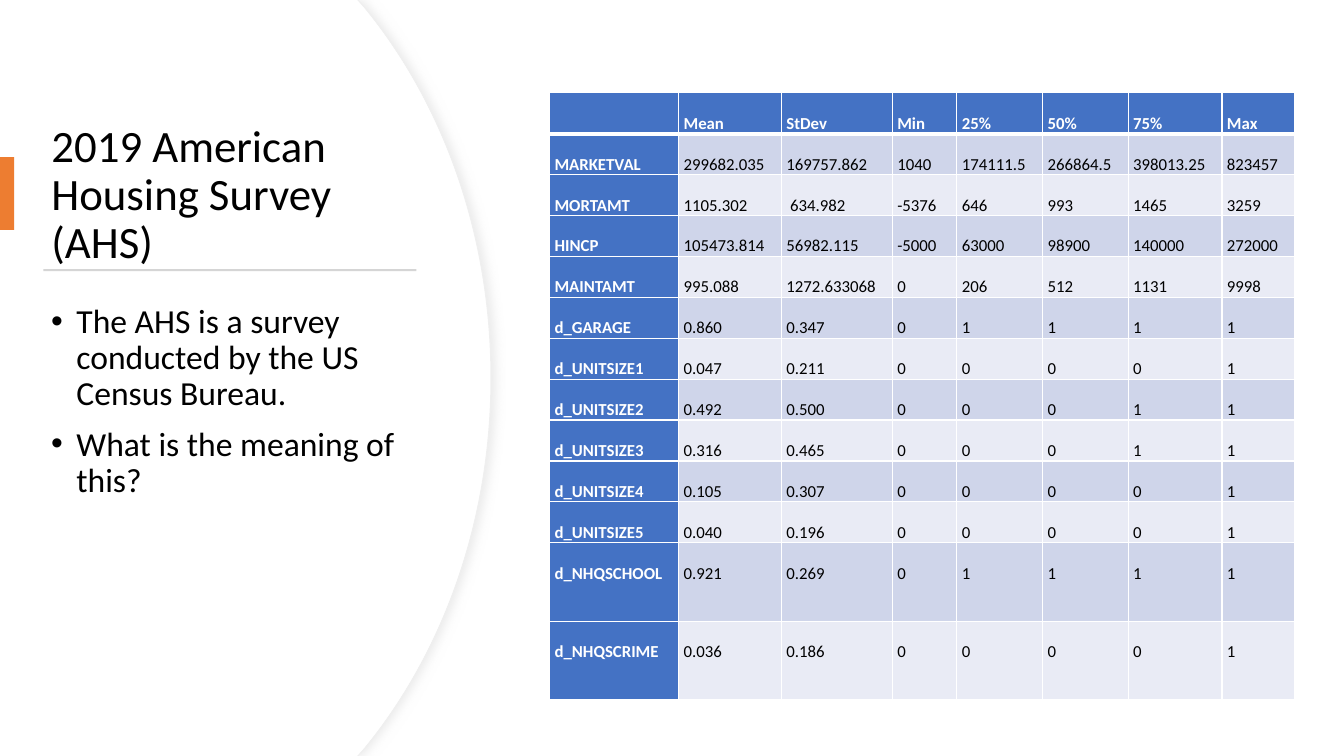
from dataclasses import dataclass

from lxml import etree
from pptx import Presentation
from pptx import util as u
from pptx.dml.color import RGBColor
from pptx.enum import shapes, text
from pptx.oxml.ns import qn

FONT = "Calibri"
COLORS = {
    "white": "FFFFFF", "black": "000000", "outline": "EFEFEF", "shadow": "D9D9D9",
    "accent": "ED7D31", "rule": "D5D5D5", "header": "4472C4",
    "band_dark": "CFD5EA", "band_light": "E9EBF5",
}


@dataclass
class Bar:
    left: float
    top: float
    width: float
    height: float
    color: str


@dataclass
class Panel:
    tip: float
    outlined: bool


PANELS = [Panel(4.87, True), Panel(4.86, False)]
BARS = [Bar(0, 1.56, 0.14, 0.72, "accent"), Bar(0.43, 2.67, 3.7, 0.02, "rule")]
BULLETS = ["The AHS is a survey conducted by the US Census Bureau.", "What is the meaning of this?"]
COLUMN_WIDTHS = [1.28, 1.02, 1.1, 0.64, 0.85, 0.85, 0.93, 0.72]
ROW_HEIGHTS = [0.38] * 11 + [0.78] * 2
STATISTICS = [
    ["", "Mean", "StDev", "Min", "25%", "50%", "75%", "Max"],
    ["MARKETVAL", "299682.035", "169757.862", "1040", "174111.5", "266864.5", "398013.25", "823457"],
    ["MORTAMT", "1105.302", " 634.982", "-5376", "646", "993", "1465", "3259"],
    ["HINCP", "105473.814", "56982.115", "-5000", "63000", "98900", "140000", "272000"],
    ["MAINTAMT", "995.088", "1272.633068", "0", "206", "512", "1131", "9998"],
    ["d_GARAGE", "0.860", "0.347", "0", "1", "1", "1", "1"],
    ["d_UNITSIZE1", "0.047", "0.211", "0", "0", "0", "0", "1"],
    ["d_UNITSIZE2", "0.492", "0.500", "0", "0", "0", "1", "1"],
    ["d_UNITSIZE3", "0.316", "0.465", "0", "0", "0", "1", "1"],
    ["d_UNITSIZE4", "0.105", "0.307", "0", "0", "0", "0", "1"],
    ["d_UNITSIZE5", "0.040", "0.196", "0", "0", "0", "0", "1"],
    ["d_NHQSCHOOL", "0.921", "0.269", "0", "1", "1", "1", "1"],
    ["d_NHQSCRIME", "0.036", "0.186", "0", "0", "0", "0", "1"],
]


def rgb(name: str) -> RGBColor:
    return RGBColor.from_string(COLORS[name])


def write(paragraph, content: str, *, size: float, color: str = "black", bold: bool = False,
          spacing: float = 0.9, before: float = 0) -> None:
    paragraph.alignment = text.PP_ALIGN.LEFT
    paragraph.line_spacing = spacing
    paragraph.space_before = u.Pt(before)
    run = paragraph.add_run()
    run.text = content
    run.font.name = FONT
    run.font.size = u.Pt(size)
    run.font.bold = bold
    run.font.color.rgb = rgb(color)


def place(shape, left: float, top: float, width: float, height: float) -> None:
    shape.left, shape.top = u.Inches(left), u.Inches(top)
    shape.width, shape.height = u.Inches(width), u.Inches(height)


def add_bullet(paragraph) -> None:
    properties = paragraph._p.get_or_add_pPr()
    properties.set("marL", str(u.Inches(0.25)))
    properties.set("indent", str(-u.Inches(0.25)))
    etree.SubElement(properties, qn("a:buFont"), typeface="Arial")
    etree.SubElement(properties, qn("a:buChar"), char="•")


def add_color(parent, name: str):
    return etree.SubElement(parent, qn("a:srgbClr"), val=COLORS[name])


def bend(segment, controls: list[tuple[float, float]]) -> None:
    segment.tag = qn("a:cubicBezTo")
    for index, (x, y) in enumerate(controls):
        point = etree.Element(qn("a:pt"), x=str(u.Inches(x)), y=str(u.Inches(y)))
        segment.insert(index, point)


def draw_panel(slide, panel: Panel):
    tip = panel.tip
    edge, shoulder, bulge = tip - 1.32, tip - 1.25, tip - 0.48
    corners = [(edge, 0), (shoulder, 0.08), (tip, 3.75), (shoulder, 7.42), (edge, 7.5), (0, 7.5)]
    builder = slide.shapes.build_freeform(0, 0)
    builder.add_line_segments([(u.Inches(x), u.Inches(y)) for x, y in corners], close=True)
    shape = builder.convert_to_shape()
    segments = list(shape.element.iter(qn("a:lnTo")))
    bend(segments[2], [(bulge, 1.02), (tip, 2.32)])
    bend(segments[3], [(tip, 5.18), (bulge, 6.48)])
    shape.shadow.inherit = False
    shape.fill.solid()
    shape.fill.fore_color.rgb = rgb("white")
    if not panel.outlined:
        shape.line.fill.background()
        return shape
    shape.line.color.rgb = rgb("outline")
    shape.line.width = u.Pt(0.75)
    effects = shape.element.spPr.find(qn("a:effectLst"))
    shadow = etree.SubElement(effects, qn("a:outerShdw"), blurRad=str(u.Pt(7)),
                              dist=str(u.Pt(3)), dir="0", algn="l", rotWithShape="0")
    etree.SubElement(add_color(shadow, "shadow"), qn("a:alpha"), val="50000")
    return shape


def draw_bar(slide, bar: Bar) -> None:
    shape = slide.shapes.add_shape(shapes.MSO_SHAPE.RECTANGLE, 0, 0, 0, 0)
    place(shape, bar.left, bar.top, bar.width, bar.height)
    shape.shadow.inherit = False
    shape.fill.solid()
    shape.fill.fore_color.rgb = rgb(bar.color)
    shape.line.fill.background()


def format_cell(cell, row: int, column: int) -> None:
    cell.margin_left = cell.margin_right = u.Inches(0.05)
    cell.margin_top = 0
    cell.margin_bottom = u.Pt(0.4)
    widths = {"lnL": 1, "lnR": 1, "lnT": 3 if row == 1 else 1, "lnB": 3 if row == 0 else 1}
    for side, width in widths.items():
        line = etree.SubElement(cell._tc.get_or_add_tcPr(), qn(f"a:{side}"), w=str(u.Pt(width)))
        add_color(etree.SubElement(line, qn("a:solidFill")), "white")
    heading = row == 0 or column == 0
    cell.fill.solid()
    cell.fill.fore_color.rgb = rgb(
        "header" if heading else "band_dark" if row % 2 else "band_light")
    if STATISTICS[row][column]:
        write(cell.text_frame.paragraphs[0], STATISTICS[row][column], size=12,
              color="white" if heading else "black", bold=heading, spacing=2)


def draw_table(slide) -> None:
    table = slide.shapes.add_table(
        len(ROW_HEIGHTS), len(COLUMN_WIDTHS), u.Inches(5.45), u.Inches(0.92),
        u.Inches(sum(COLUMN_WIDTHS)), u.Inches(sum(ROW_HEIGHTS))).table
    for column, width in zip(table.columns, COLUMN_WIDTHS):
        column.width = u.Inches(width)
    for row, height in zip(table.rows, ROW_HEIGHTS):
        row.height = u.Inches(height)
    for row in range(len(ROW_HEIGHTS)):
        for column in range(len(COLUMN_WIDTHS)):
            format_cell(table.cell(row, column), row, column)


def draw_bullets(slide) -> None:
    box = slide.shapes.add_textbox(0, 0, 0, 0)
    place(box, 0.41, 2.97, 3.76, 3.51)
    frame = box.text_frame
    frame.word_wrap = True
    for index, content in enumerate(BULLETS):
        paragraph = frame.add_paragraph() if index else frame.paragraphs[0]
        write(paragraph, content, size=24, before=10)
        add_bullet(paragraph)


presentation = Presentation()
presentation.slide_width, presentation.slide_height = u.Inches(13.33), u.Inches(7.5)
slide = presentation.slides.add_slide(presentation.slide_layouts[5])

title = slide.shapes.title
place(title, 0.41, 1.27, 3.76, 1.35)
title.text_frame.word_wrap = True
title.text_frame.auto_size = text.MSO_AUTO_SIZE.NONE
title.text_frame.vertical_anchor = text.MSO_ANCHOR.MIDDLE
write(title.text_frame.paragraphs[0], "2019 American Housing Survey (AHS)", size=32)

for panel in PANELS:
    title.element.addprevious(draw_panel(slide, panel).element)
for bar in BARS:
    draw_bar(slide, bar)
draw_bullets(slide)
draw_table(slide)

presentation.save("out.pptx")
